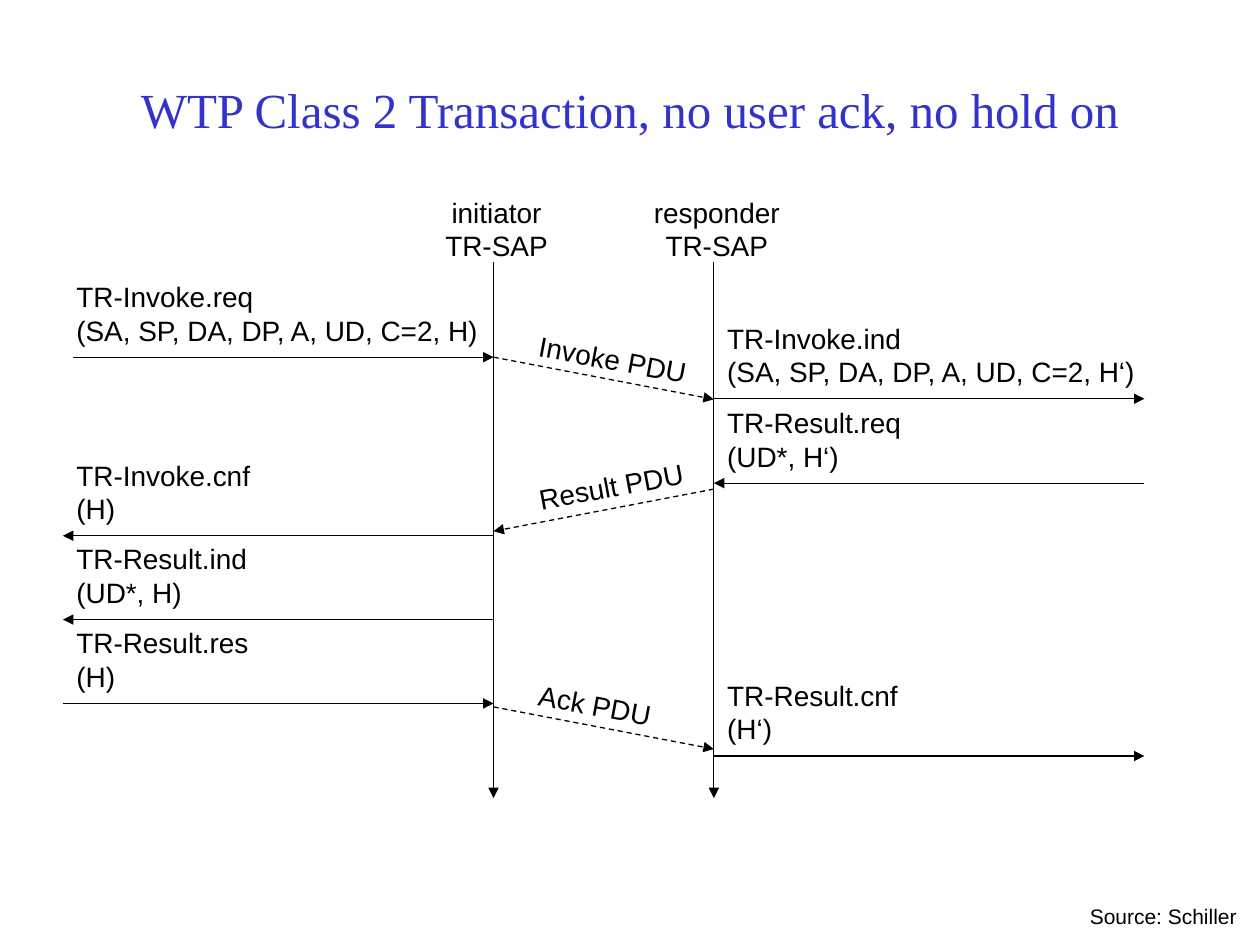
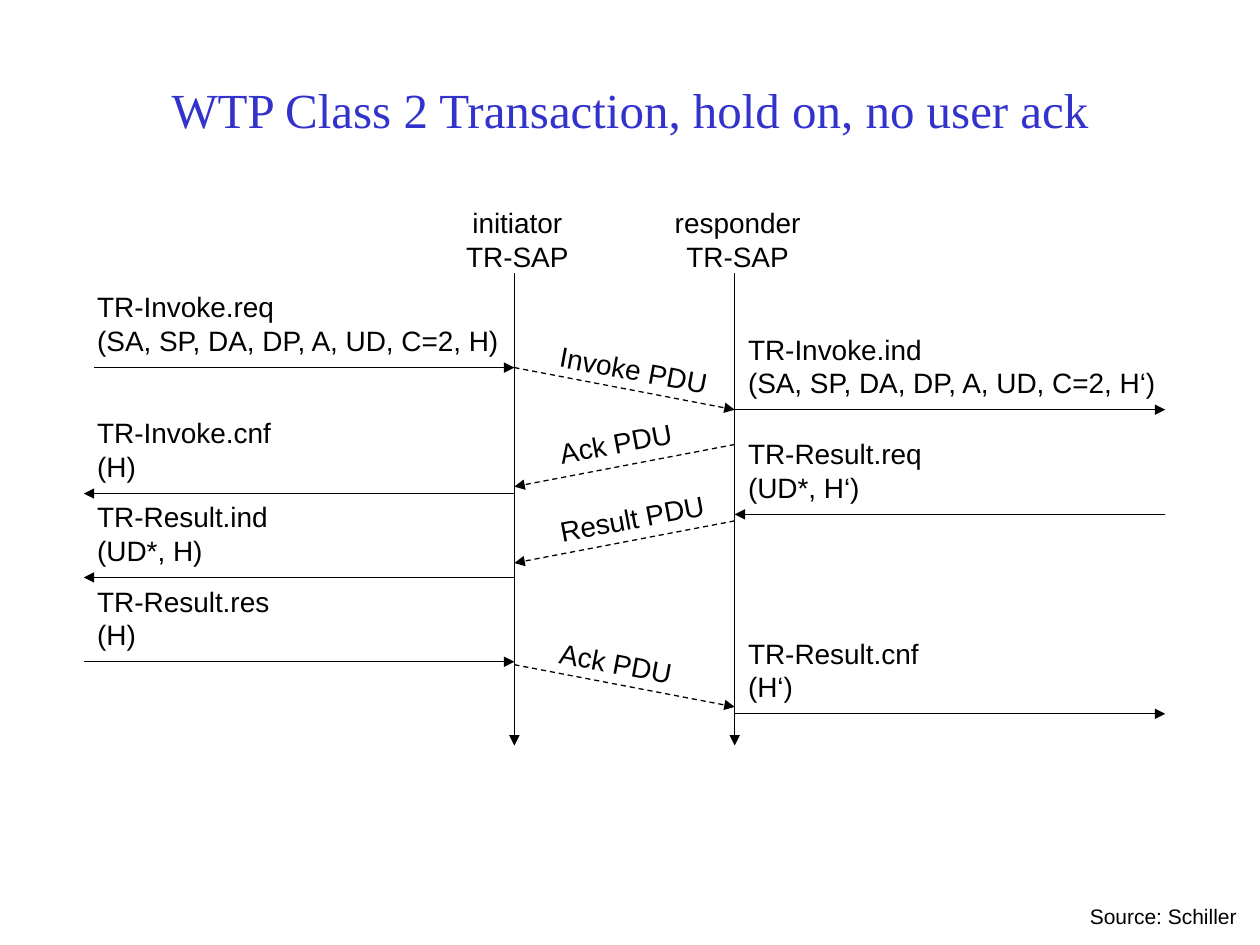
from pptx import Presentation, util as u
from pptx.dml.color import RGBColor
from pptx.enum import dml, shapes, text
from pptx.oxml.ns import qn
from lxml import etree

# Content: lengths in cm
HEADS = ["initiator", "responder"]
REQ = ("TR-Invoke.req", "(SA, SP, DA, DP, A, UD, C=2, H)")
IND = ("TR-Invoke.ind", "(SA, SP, DA, DP, A, UD, C=2, H‘)")
RREQ = ("TR-Result.req", "(UD*, H‘)")
CNF = ("TR-Invoke.cnf", "(H)")
RIND = ("TR-Result.ind", "(UD*, H)")
RES = ("TR-Result.res", "(H)")
RCNF = ("TR-Result.cnf", "(H‘)")

# PDU name: label width, label lift above the start of the arrow
PDUS = {"Invoke PDU": (3.55, 0.42), "Result PDU": (3.5, 0.53),
        "Ack PDU": (2.84, 0.5)}

# calls: (primitive, side, way, line y); pdus: (name, way, start y)
SLIDES = [
    {"title": "WTP Class 2 Transaction, no user ack, no hold on",
     "x": 9.95, "top": 5.29, "end": 16.09,
     "calls": [(REQ, "left", "right", 7.2), (IND, "right", "right", 8.04),
               (RREQ, "right", "left", 9.74), (CNF, "left", "left", 10.8),
               (RIND, "left", "left", 12.49), (RES, "left", "right", 14.18),
               (RCNF, "right", "right", 15.24)],
     "pdus": [("Invoke PDU", "right", 7.2), ("Result PDU", "left", 9.86),
              ("Ack PDU", "right", 14.25)]},
    {"title": "WTP Class 2 Transaction, hold on, no user ack",
     "x": 10.37, "top": 5.5, "end": 15.03,
     "calls": [(REQ, "left", "right", 7.41), (IND, "right", "right", 8.26),
               (RREQ, "right", "left", 10.37), (CNF, "left", "left", 9.95),
               (RIND, "left", "left", 11.64), (RES, "left", "right", 13.34),
               (RCNF, "right", "right", 14.39)],
     "pdus": [("Invoke PDU", "right", 7.41), ("Ack PDU", "left", 8.96),
              ("Result PDU", "left", 10.5), ("Ack PDU", "right", 13.4)]},
]

# Shared look
GAP, ARM, DROP, TILT = 4.44, 8.68, 0.85, 10.6
HEAD, SHORT, LONG = 3.2, 4.15, 9
BLACK, BLUE = "000000", "3333CC"
LABEL = {"name": "Arial", "size": u.Pt(16)}
NOTE = {"name": "Arial", "size": u.Pt(12)}
TITLE = {"name": "Times New Roman", "size": u.Pt(28)}
MID = text.PP_ALIGN.CENTER


def paint(color, code):
    color.rgb = RGBColor.from_string(code)


def style(par, fmt, code, align=None):
    par.alignment = align
    for key, val in fmt.items():
        setattr(par.font, key, val)
    paint(par.font.color, code)


def label(home, lines, x, y, wide, fmt=LABEL, align=None, turn=0):
    high = 1.63 if len(lines) > 1 else 0.94 if fmt is LABEL else 0.76
    box = home.add_textbox(*map(u.Cm, (x, y, wide, high)))
    box.rotation = turn
    frame = box.text_frame
    frame.text = "\n".join(lines)
    # Fixed boxes, wide enough for their longest line
    frame.word_wrap = True
    frame.auto_size = text.MSO_AUTO_SIZE.NONE
    for par in frame.paragraphs:
        style(par, fmt, BLACK, align)


def arrow(home, start, stop, dash=False):
    link = home.add_connector(shapes.MSO_CONNECTOR.STRAIGHT,
                              *map(u.Cm, start + stop))
    link.line.width = u.Pt(0.75)
    paint(link.line.color, BLACK)
    if dash:
        link.line.dash_style = dml.MSO_LINE.DASH
    props = link._element.spPr
    etree.SubElement(props.find(qn("a:ln")), qn("a:tailEnd"), type="triangle")
    etree.SubElement(props, qn("a:effectLst"))


def frame_slide(deck, name):
    slide = deck.slides.add_slide(deck.slide_layouts[5])
    title = slide.shapes.title
    place = dict(left=1.9, top=0.61, width=21.6, height=3.18)
    for key, val in place.items():
        setattr(title, key, u.Cm(val))
    title.text = name
    title.text_frame.auto_size = text.MSO_AUTO_SIZE.NONE
    title.text_frame.vertical_anchor = text.MSO_ANCHOR.MIDDLE
    style(title.text_frame.paragraphs[0], TITLE, BLUE, MID)
    label(slide.shapes, ["Source: Schiller"], 21.72, 18.08, 3.65, NOTE)
    return slide


def chart(home, data):
    axes = data["x"], data["x"] + GAP
    # Time lines with their heads
    for x, head in zip(axes, HEADS):
        arrow(home, (x, data["top"]), (x, data["end"]))
        label(home, [head, "TR-SAP"], x + 0.06 - HEAD / 2,
              data["top"] - 1.48, HEAD, align=MID)
    # Service primitives outside the time lines
    for call, side, way, y in data["calls"]:
        near = axes[0] - ARM if side == "left" else axes[1]
        ends = [(near, y), (near + ARM, y)]
        if call is REQ:
            ends[0] = (near + 0.21, y)
        arrow(home, *(ends if way == "right" else ends[::-1]))
        label(home, call, near + 0.02, y - 1.69,
              LONG if call in (REQ, IND) else SHORT)
    # Messages between the time lines
    for name, way, y in data["pdus"]:
        ahead = way == "right"
        start, stop = axes if ahead else axes[::-1]
        wide, lift = PDUS[name]
        arrow(home, (start, y), (stop, y + DROP), dash=True)
        label(home, [name], axes[0] + 0.65, y - lift, wide,
              turn=TILT if ahead else 360 - TILT)


def main():
    deck = Presentation()
    deck.slide_width, deck.slide_height = u.Cm(25.4), u.Cm(19.05)
    for data in SLIDES:
        slide = frame_slide(deck, data["title"])
        chart(slide.shapes.add_group_shape().shapes, data)
    deck.save("out.pptx")


if __name__ == "__main__":
    main()
